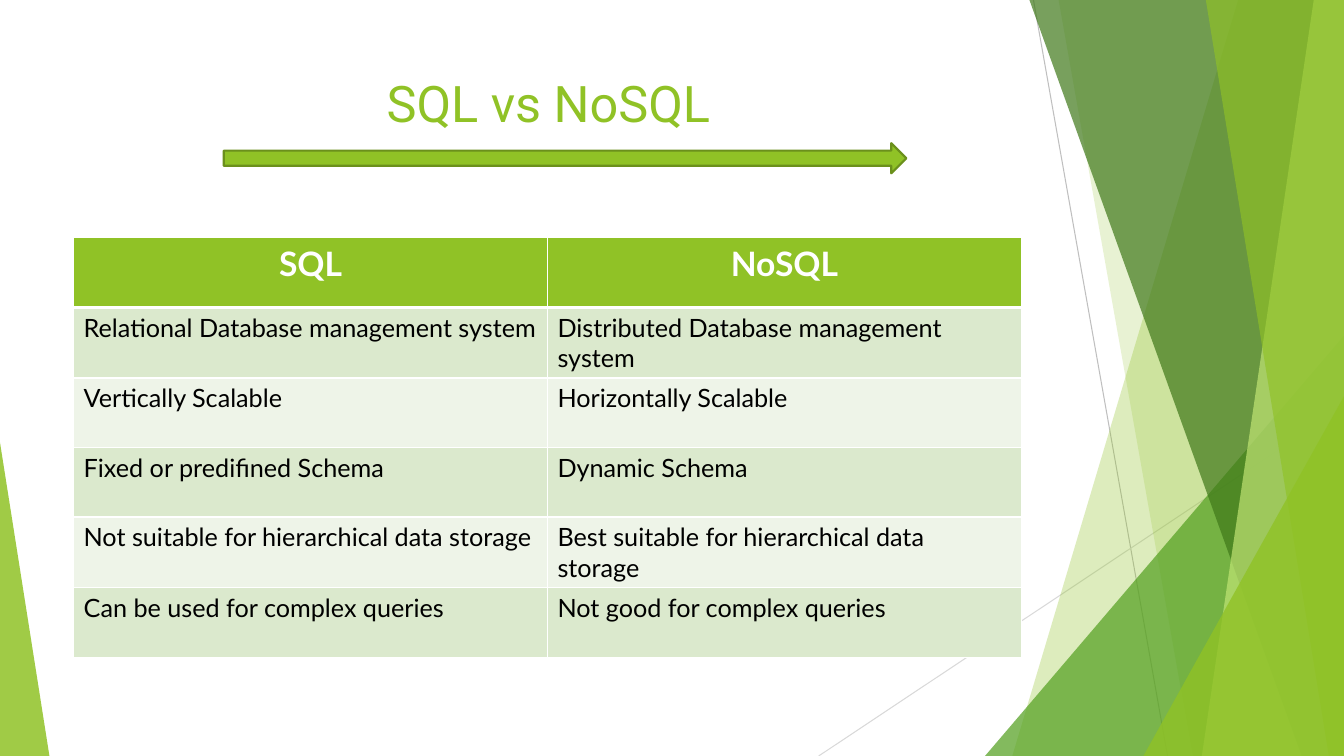
import dataclasses

import lxml.etree
import pptx
import pptx.dml.color
import pptx.enum.shapes
import pptx.enum.text
import pptx.oxml.ns
import pptx.util

RGB = pptx.dml.color.RGBColor
SHAPE = pptx.enum.shapes.MSO_SHAPE
CENTER = pptx.enum.text.PP_ALIGN.CENTER

WHITE = RGB(0xFF, 0xFF, 0xFF)
BLACK = RGB(0x00, 0x00, 0x00)
LIME = RGB(0x90, 0xC2, 0x26)
OLIVE = RGB(0x6B, 0x90, 0x1C)
GREEN = RGB(0x54, 0xA0, 0x21)
FOREST = RGB(0x3F, 0x78, 0x19)
PALE = RGB(0xC0, 0xE4, 0x74)
GRAY = RGB(0xBF, 0xBF, 0xBF)
SILVER = RGB(0xD9, 0xD9, 0xD9)
MINT = RGB(0xDB, 0xE9, 0xCD)
FROST = RGB(0xEE, 0xF4, 0xE8)

# The grid has square cells, COLS across and ROWS down.
COLS, ROWS = 13.33, 7.5
WIDTH = pptx.util.Inches(COLS)
HEIGHT = pptx.util.Inches(ROWS)


@dataclasses.dataclass
class Line:
    """A thin line between two grid points."""
    start: tuple[float, float]
    end: tuple[float, float]
    color: RGB


@dataclasses.dataclass
class Shard:
    """A full-height band from a slanted left side to the right edge."""
    top: float
    foot: float
    color: RGB
    alpha: int


@dataclasses.dataclass
class Wedge:
    """A right triangle standing on the bottom edge."""
    left: float
    top: float
    width: float
    peak: float
    color: RGB
    alpha: int


LINES = [
    Line((10.25, 0), (11.58, ROWS), GRAY),
    Line((COLS, 4.03), (8.12, ROWS), SILVER),
]
FACETS = [
    Shard(12.28, 10.04, LIME, 30),
    Shard(10.5, 11.83, LIME, 20),
    Wedge(9.77, 3.33, 3.56, 1, GREEN, 72),
    Shard(10.21, 12.91, FOREST, 70),
    Shard(13.03, 11.92, PALE, 70),
    Shard(11.96, 13.18, LIME, 65),
    Wedge(11.34, 3.93, 1.99, 1, LIME, 80),
    Wedge(0, 4.39, 0.49, 0, LIME, 85),
]
PAIRS = [
    ("SQL", "NoSQL"),
    ("Relational Database management system",
     "Distributed Database management system"),
    ("Vertically Scalable", "Horizontally Scalable"),
    ("Fixed or predifined Schema", "Dynamic Schema"),
    ("Not suitable for hierarchical data storage",
     "Best suitable for hierarchical data storage"),
    ("Can be used for complex queries", "Not good for complex queries"),
]


def across(cols: float) -> int:
    """Turn grid columns into a length."""
    return round(WIDTH * cols / COLS)


def down(rows: float) -> int:
    """Turn grid rows into a length."""
    return round(HEIGHT * rows / ROWS)


def box(left: float, top: float, width: float, height: float) -> tuple:
    """Turn a grid box into lengths."""
    return across(left), down(top), across(width), down(height)


def child(node, tag: str, **attrs: str):
    """Add an XML child element."""
    return lxml.etree.SubElement(node, pptx.oxml.ns.qn(tag), attrs)


def paint(shape, color: RGB, alpha: int = 100) -> None:
    """Fill a shape flatly, with no outline or shadow."""
    shape.shadow.inherit = False
    shape.fill.solid()
    shape.fill.fore_color.rgb = color
    shape.line.fill.background()
    if alpha < 100:
        tint = shape.element.xpath("./p:spPr/a:solidFill/a:srgbClr")[0]
        child(tint, "a:alpha", val=str(alpha * 1000))


def style(para, font: str, size: int, color: RGB, bold: bool = False) -> None:
    """Set the font of a paragraph."""
    para.font.name = font
    para.font.size = pptx.util.Pt(size)
    para.font.color.rgb = color
    para.font.bold = bold


def draw_line(shapes, line: Line) -> None:
    """Draw a thin line."""
    (left, top), (right, foot) = line.start, line.end
    wire = shapes.add_connector(
        pptx.enum.shapes.MSO_CONNECTOR.STRAIGHT,
        across(left), down(top), across(right), down(foot))
    wire.line.color.rgb = line.color
    wire.line.width = pptx.util.Pt(0.75)
    child(wire.element.spPr, "a:effectLst")


def draw_facet(shapes, facet: Shard | Wedge) -> None:
    """Draw one see-through facet of the backdrop."""
    if isinstance(facet, Shard):
        pen = shapes.build_freeform(across(facet.top), 0)
        pen.add_line_segments([
            (WIDTH, 0), (WIDTH, HEIGHT), (across(facet.foot), HEIGHT)])
        shape = pen.convert_to_shape()
    else:
        shape = shapes.add_shape(
            SHAPE.ISOSCELES_TRIANGLE,
            *box(facet.left, facet.top, facet.width, ROWS - facet.top))
        shape.adjustments[0] = facet.peak
    paint(shape, facet.color, facet.alpha)


def draw_title(shapes) -> None:
    """Write the title."""
    frame = shapes.add_textbox(*box(0.74, 0.67, 9.4, 1.44)).text_frame
    frame.word_wrap = True
    para = frame.paragraphs[0]
    para.text = "SQL vs NoSQL"
    para.alignment = CENTER
    style(para, "Roboto", 36, LIME)


def edge(cell, row: int) -> None:
    """Give a cell white borders, thick below the header."""
    props = cell._tc.get_or_add_tcPr()
    thick = {"a:lnT": row == 1, "a:lnB": row == 0}
    for tag in ("a:lnL", "a:lnR", "a:lnT", "a:lnB"):
        points = 3 if thick.get(tag) else 1
        side = child(props, tag, w=str(pptx.util.Pt(points)))
        child(child(side, "a:solidFill"), "a:srgbClr", val=str(WHITE))


def draw_table(shapes) -> None:
    """Draw the comparison table."""
    high = 0.69
    table = shapes.add_table(
        len(PAIRS), 2, *box(0.73, 2.36, 9.4, high * len(PAIRS))).table
    for row, pair in enumerate(PAIRS):
        table.rows[row].height = down(high)
        head = row == 0
        for col, words in enumerate(pair):
            cell = table.cell(row, col)
            cell.text = words
            edge(cell, row)
            cell.fill.solid()
            cell.fill.fore_color.rgb = (
                LIME if head else MINT if row % 2 else FROST)
            para = cell.text_frame.paragraphs[0]
            if head:
                para.alignment = CENTER
                style(para, "Lato", 24, WHITE, True)
            else:
                style(para, "Lato", 18, BLACK)


def draw_arrow(shapes) -> None:
    """Draw the arrow under the title."""
    arrow = shapes.add_shape(SHAPE.RIGHT_ARROW, *box(2.22, 1.42, 6.77, 0.3))
    paint(arrow, LIME)
    arrow.line.color.rgb = OLIVE
    arrow.line.width = pptx.util.Pt(1.5)


deck = pptx.Presentation()
deck.slide_width, deck.slide_height = WIDTH, HEIGHT
shapes = deck.slides.add_slide(deck.slide_layouts[6]).shapes
for line in LINES:
    draw_line(shapes, line)
for facet in FACETS:
    draw_facet(shapes, facet)
draw_title(shapes)
draw_table(shapes)
draw_arrow(shapes)
deck.save("out.pptx")
